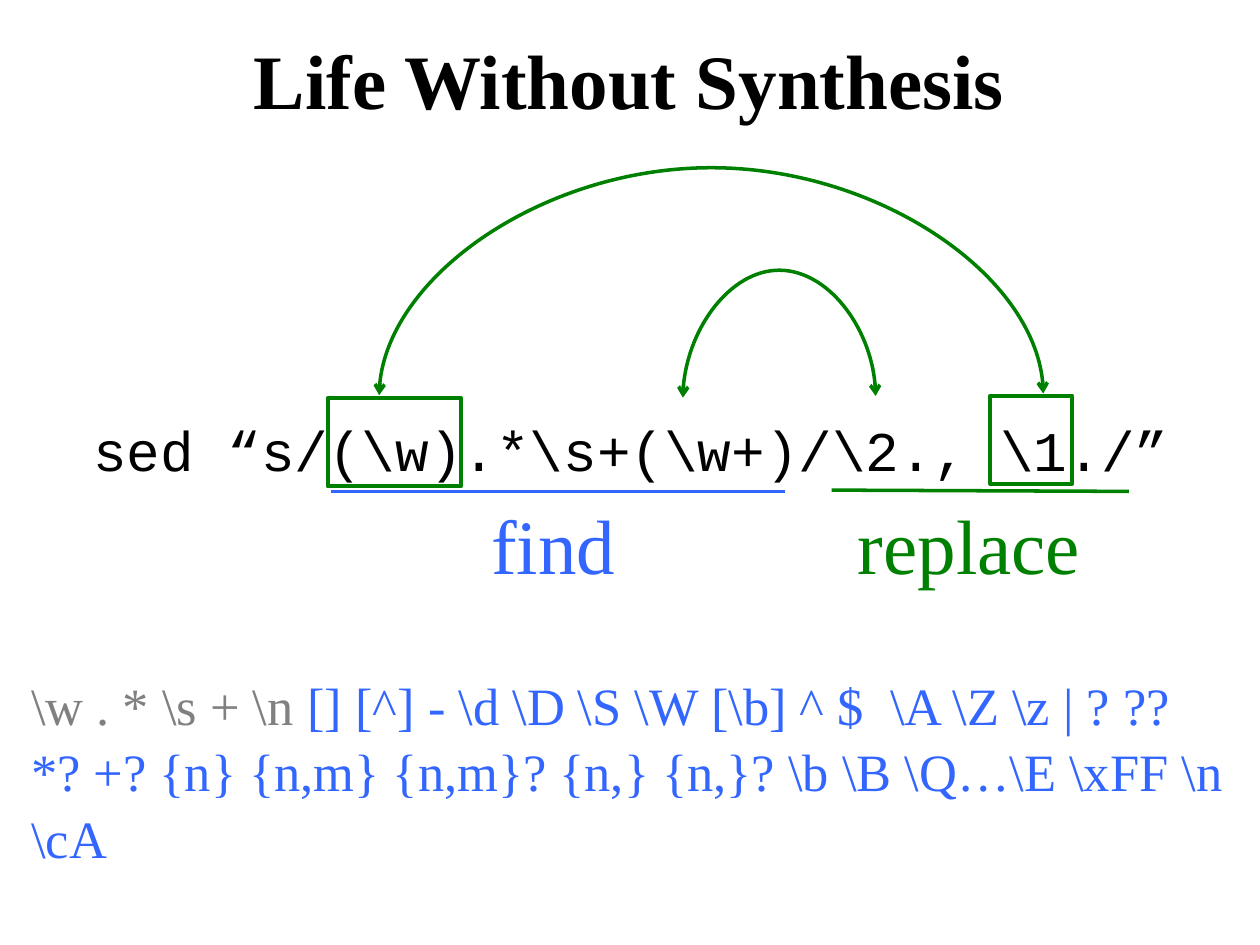
from pptx import Presentation
from pptx.dml.color import RGBColor
from pptx.enum import shapes, text
from pptx.oxml import ns
from pptx.util import Inches, Pt
from lxml import etree

BLACK = RGBColor(0x00, 0x00, 0x00)
GRAY = RGBColor(0x80, 0x80, 0x80)
BLUE = RGBColor(0x33, 0x66, 0xFF)
GREEN = RGBColor(0x00, 0x80, 0x00)
SERIF = "Times New Roman"
MONO = "Courier New"


def add_text(slide, box, lines, size, font=SERIF, bold=False):
    """Add a text box; each line is a list of (text, color) runs."""
    shape = slide.shapes.add_textbox(*map(Inches, box))
    frame = shape.text_frame
    frame.word_wrap = True
    for index, line in enumerate(lines):
        paragraph = frame.add_paragraph() if index else frame.paragraphs[0]
        for content, color in line:
            run = paragraph.add_run()
            run.text = content
            run.font.name = font
            run.font.size = Pt(size)
            run.font.bold = bold
            run.font.color.rgb = color
    return frame


def style_connector(connector, color):
    connector.line.color.rgb = color
    connector.line.width = Pt(2)
    etree.SubElement(connector._element.spPr, ns.qn("a:effectLst"))


def add_underline(slide, x1, y1, x2, y2, color):
    connector = slide.shapes.add_connector(
        shapes.MSO_CONNECTOR.STRAIGHT, *map(Inches, (x1, y1, x2, y2)))
    style_connector(connector, color)


def add_arc(slide, x1, x2, base, rise):
    """Add a two-headed curved connector that rises above its ends."""
    thickness, span = Pt(1), Inches(x2 - x1)
    left = Inches((x1 + x2) / 2) - thickness // 2
    top = Inches(base) - span // 2
    # Drawn upright from bottom right to top left, then turned a quarter
    connector = slide.shapes.add_connector(
        shapes.MSO_CONNECTOR.CURVE, left + thickness, top + span, left, top)
    style_connector(connector, GREEN)
    properties = connector._element.spPr
    properties.find(ns.qn("a:xfrm")).set("rot", str(90 * 60000))
    geometry = properties.find(ns.qn("a:prstGeom"))
    adjustments = geometry.find(ns.qn("a:avLst"))
    if adjustments is None:
        adjustments = etree.SubElement(geometry, ns.qn("a:avLst"))
    ratio = round(Inches(rise) / thickness * 100000)
    etree.SubElement(adjustments, ns.qn("a:gd"), name="adj1", fmla=f"val {ratio}")
    line = properties.find(ns.qn("a:ln"))
    for end in ("a:headEnd", "a:tailEnd"):
        etree.SubElement(line, ns.qn(end), type="arrow")


def add_frame(slide, box):
    shape = slide.shapes.add_shape(
        shapes.MSO_SHAPE.RECTANGLE, *map(Inches, box))
    shape.shadow.inherit = False
    shape.fill.background()
    shape.line.color.rgb = GREEN
    shape.line.width = Pt(2.25)


def main():
    presentation = Presentation()
    presentation.slide_width = Inches(10)
    presentation.slide_height = Inches(7.5)
    slide = presentation.slides.add_slide(presentation.slide_layouts[6])

    # Title
    title = add_text(slide, (0, 0, 9.99, 1.25),
                     [[("Life Without Synthesis", BLACK)]], 44, bold=True)
    title.vertical_anchor = text.MSO_ANCHOR.MIDDLE
    title.paragraphs[0].alignment = text.PP_ALIGN.CENTER

    # Command
    command = add_text(slide, (0.64, 3.16, 9, 1.16),
                       [[(r"sed “s/(\w).*\s+(\w+)/\2., \1./”", BLACK)]],
                       32, MONO)
    command.margin_top = Inches(0.14)

    # Regular expression vocabulary
    vocabulary = add_text(slide, (0.15, 5.27, 9.84, 1.11), [
        [(r"\w . * \s + \n", GRAY),
         (r" [] [^] - \d \D \S \W [\b] ^ $  \A \Z \z | ? ??", BLUE)],
        [(r"*? +? {n} {n,m} {n,m}? {n,} {n,}? \b \B \Q…\E \xFF \n \cA", BLUE)],
    ], 30)
    for paragraph in vocabulary.paragraphs:
        paragraph.line_spacing = 1.05

    # Links between capture groups and back references
    add_arc(slide, 5.42, 6.95, 3.15, 1.02)
    add_arc(slide, 3.01, 8.28, 3.13, 1.82)
    add_frame(slide, (2.6, 3.16, 1.06, 0.7))
    add_frame(slide, (7.86, 3.14, 0.65, 0.7))

    # Labels for the two halves of the command
    add_text(slide, (6.71, 3.9, 2.36, 0.84), [[("replace", GREEN)]], 44)
    add_underline(slide, 6.6, 3.89, 8.96, 3.9, GREEN)
    add_text(slide, (3.8, 3.9, 1.41, 0.84), [[("find", BLUE)]], 44)
    add_underline(slide, 2.63, 3.9, 6.23, 3.9, BLUE)

    presentation.save("out.pptx")


if __name__ == "__main__":
    main()
